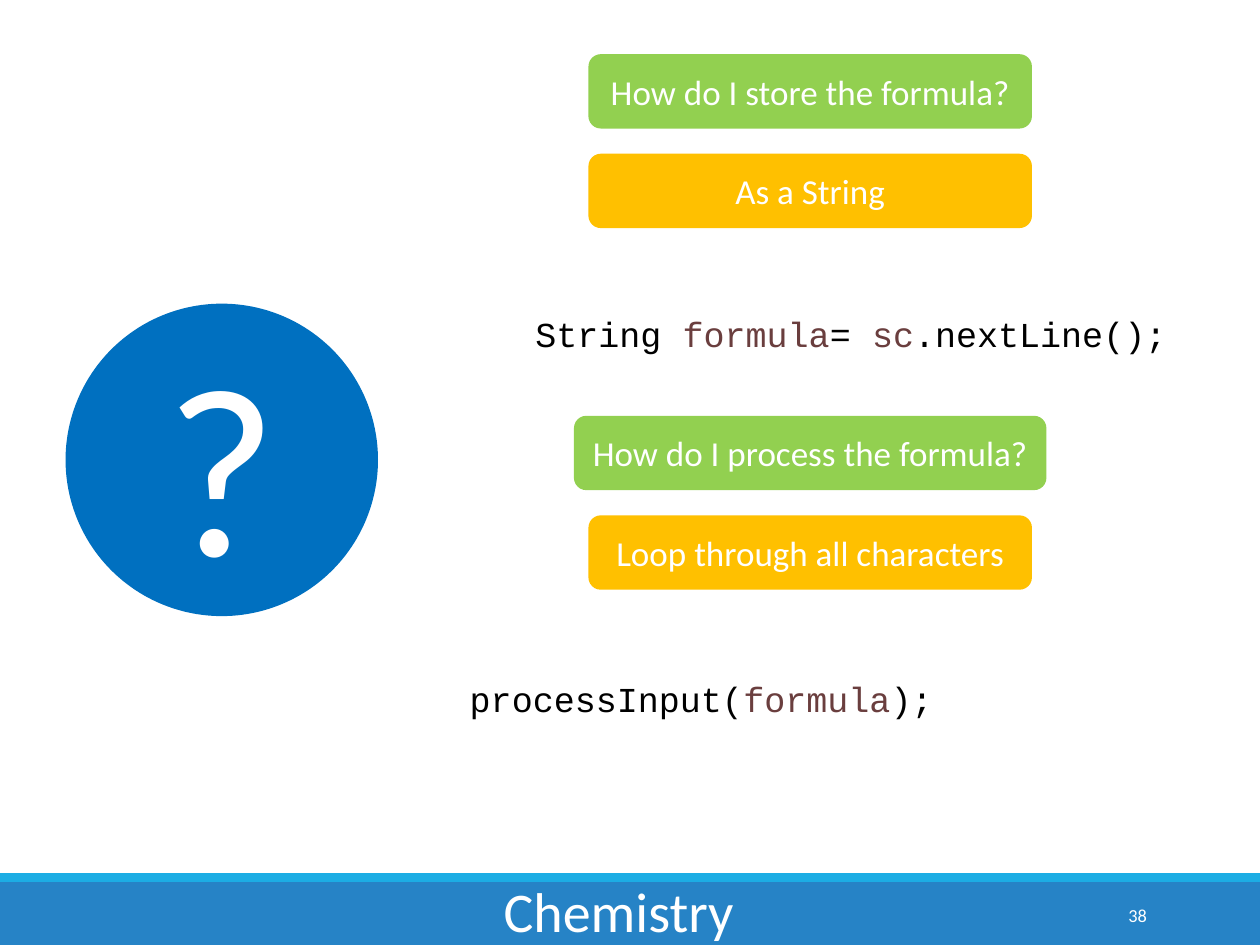
from pptx import Presentation
from pptx.dml.color import RGBColor
from pptx.enum.shapes import MSO_SHAPE
from pptx.enum.text import MSO_ANCHOR, PP_ALIGN
from pptx.util import Inches, Pt

WIDTH, HEIGHT = 10, 7.5
WHITE, BLACK, VARIABLE = "FFFFFF", "000000", "6A3E3E"
QUESTION, ANSWER = "92D050", "FFC000"

# Question and answer boxes share a centre line and a row pitch
BOX_CENTER = 6.43
BOX_HEIGHT, ROW_PITCH = 0.59, 0.79
BOX_WIDTH, WIDE_BOX_WIDTH = 3.52, 3.75


def color(hex_string):
    return RGBColor.from_string(hex_string)


def format_font(font, size, hex_string, name="Calibri"):
    font.name = name
    font.size = Pt(size)
    font.color.rgb = color(hex_string)


def write_line(shape, text, size, align, anchor=MSO_ANCHOR.MIDDLE):
    text_frame = shape.text_frame
    text_frame.text = text
    text_frame.word_wrap = True
    text_frame.vertical_anchor = anchor
    paragraph = text_frame.paragraphs[0]
    paragraph.alignment = align
    format_font(paragraph.runs[0].font, size, WHITE)


def add_filled_shape(slide, kind, left, top, width, height, fill):
    shape = slide.shapes.add_shape(
        kind, Inches(left), Inches(top), Inches(width), Inches(height))
    shape.shadow.inherit = False
    shape.fill.solid()
    shape.fill.fore_color.rgb = color(fill)
    shape.line.fill.background()
    return shape


def add_box(slide, text, top, fill, width=BOX_WIDTH):
    box = add_filled_shape(slide, MSO_SHAPE.ROUNDED_RECTANGLE,
                           BOX_CENTER - width / 2, top, width, BOX_HEIGHT, fill)
    write_line(box, text, 20, PP_ALIGN.CENTER)


def add_question_and_answer(slide, top, question, answer, question_width=BOX_WIDTH):
    add_box(slide, question, top, QUESTION, question_width)
    add_box(slide, answer, top + ROW_PITCH, ANSWER)


def add_code(slide, left, top, width, height, parts, anchor=MSO_ANCHOR.TOP):
    """Write one line of code from (text, colour) parts."""
    box = slide.shapes.add_textbox(
        Inches(left), Inches(top), Inches(width), Inches(height))
    box.text_frame.word_wrap = True
    box.text_frame.vertical_anchor = anchor
    paragraph = box.text_frame.paragraphs[0]
    for text, hex_string in parts:
        run = paragraph.add_run()
        run.text = text
        format_font(run.font, 20, hex_string, "Courier New")


def add_footer(slide, title_text, number):
    add_filled_shape(slide, MSO_SHAPE.RECTANGLE, 0, 7, WIDTH, 0.5, "2683C6")
    add_filled_shape(slide, MSO_SHAPE.RECTANGLE, 0, 6.93, WIDTH, 0.07, "1CADE4")

    # The title sits on the footer bar, so it goes to the front
    title = slide.shapes.title
    title.left, title.top = Inches(2.79), Inches(6.9)
    title.width, title.height = Inches(4.24), Inches(0.64)
    write_line(title, title_text, 32, PP_ALIGN.CENTER, MSO_ANCHOR.BOTTOM)
    slide.shapes._spTree.append(title._element)

    number_box = slide.shapes.add_textbox(
        Inches(8.12), Inches(7.06), Inches(1.08), Inches(0.4))
    write_line(number_box, number, 10.5, PP_ALIGN.RIGHT)


def main():
    presentation = Presentation()
    presentation.slide_width = Inches(WIDTH)
    presentation.slide_height = Inches(HEIGHT)
    slide = presentation.slides.add_slide(presentation.slide_layouts[5])

    add_footer(slide, "Chemistry", "38")

    # Question mark
    circle = add_filled_shape(slide, MSO_SHAPE.OVAL, 0.52, 2.41, 2.48, 2.48, "0070C0")
    write_line(circle, "?", 138, PP_ALIGN.CENTER)

    # Storing the formula
    add_question_and_answer(slide, 0.43, "How do I store the formula?", "As a String")
    add_code(slide, 4.15, 2.43, WIDTH - 4.15, 1.11, [
        ("String ", BLACK), ("formula", VARIABLE), ("= ", BLACK),
        ("sc", VARIABLE), (".nextLine();", BLACK)])

    # Processing the formula
    add_question_and_answer(slide, 3.3, "How do I process the formula?",
                            "Loop through all characters", WIDE_BOX_WIDTH)
    add_code(slide, 3.63, 4.99, 5, 0.77, [
        ("processInput(", BLACK), ("formula", VARIABLE), (");", BLACK)],
        MSO_ANCHOR.BOTTOM)

    presentation.save("out.pptx")


if __name__ == "__main__":
    main()
